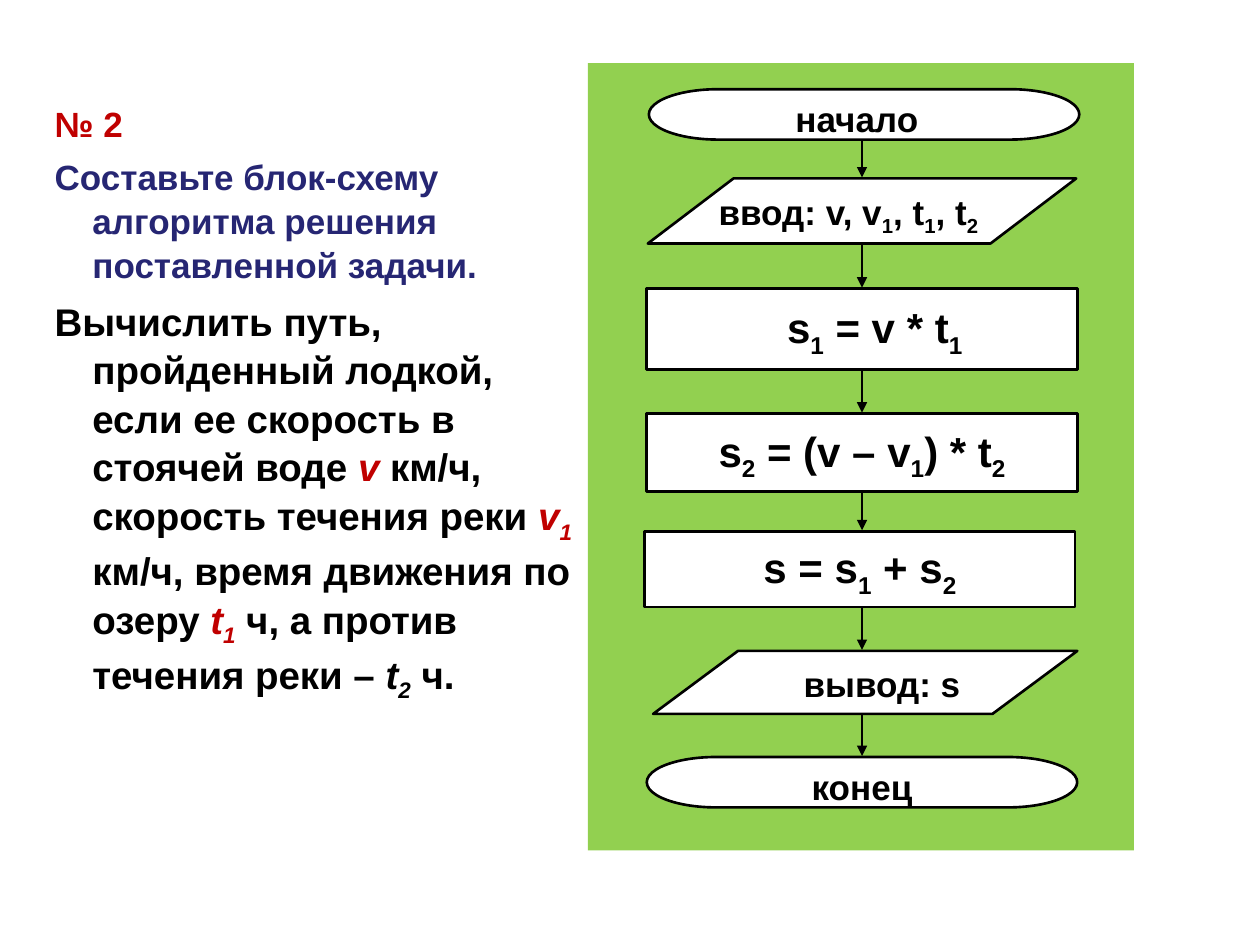
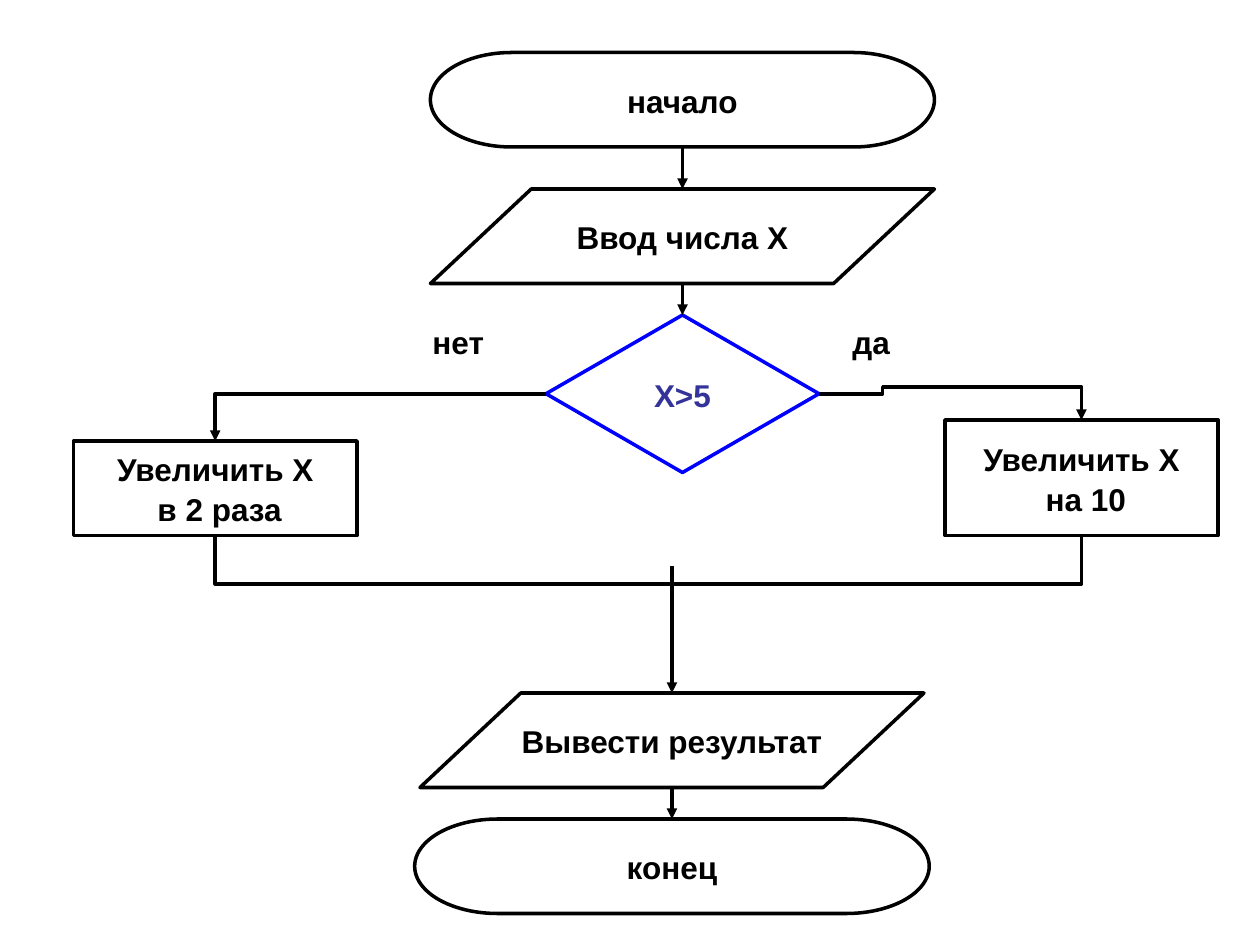
from itertools import pairwise

from lxml.etree import SubElement
from pptx import Presentation
from pptx.dml.color import RGBColor
from pptx.enum.shapes import MSO_CONNECTOR, MSO_SHAPE
from pptx.enum.text import MSO_ANCHOR, MSO_AUTO_SIZE, PP_ALIGN
from pptx.oxml.ns import qn
from pptx.util import Pt

PX = 7620  # EMU, 120 px to the inch
COLORS = {"black": "000000", "white": "FFFFFF", "red": "C00000", "navy": "262673",
          "green": "92D050", "blue": "0000FF", "indigo": "333399"}
FONT = {"name": "Arial", "bold": True}
LINE_SPACING = 1.05
TERMINATOR, DATA = MSO_SHAPE.FLOWCHART_TERMINATOR, MSO_SHAPE.FLOWCHART_DATA
PROCESS, RECT = MSO_SHAPE.FLOWCHART_PROCESS, MSO_SHAPE.RECTANGLE


def emu(*lengths):
    return [round(n * PX) for n in lengths]


def rgb(name):
    return RGBColor.from_string(COLORS[name])


def set_attrs(obj, **values):
    for name, value in values.items():
        setattr(obj, name, value)


def add_runs(p, text, size, color="black", italic=False):
    """Add text in which the character after each "_" is a subscript."""
    first, *rest = text.split("_")
    pieces = [(first, False)]
    for part in rest:
        pieces += [(part[0], True), (part[1:], False)]
    for piece, is_sub in pieces:
        if not piece:
            continue
        r = p.add_run()
        r.text = piece
        set_attrs(r.font, **FONT, size=Pt(size), italic=italic)
        r.font.color.rgb = rgb(color)
        if is_sub:
            r.font._element.set("baseline", "-25000")


def write(sp, text, size, color="black", align=PP_ALIGN.CENTER):
    tf = sp.text_frame
    for i, line in enumerate(text.split("\n")):
        p = tf.add_paragraph() if i else tf.paragraphs[0]
        set_attrs(p, alignment=align, line_spacing=LINE_SPACING)
        add_runs(p, line, size, color)
    return tf


def add_block(shapes, kind, box, fill=None, line="black", width=2):
    sp = shapes.add_shape(kind, *emu(*box))
    sp.shadow.inherit = False
    if fill:
        sp.fill.solid()
        sp.fill.fore_color.rgb = rgb(fill)
    else:
        sp.fill.background()
    if line:
        sp.line.color.rgb = rgb(line)
        sp.line.width = Pt(width)
    else:
        sp.line.fill.background()
    return sp


def add_block_text(sp, text, size, color="black"):
    tf = write(sp, text, size, color)
    set_attrs(tf, word_wrap=False, vertical_anchor=MSO_ANCHOR.MIDDLE)
    return tf


def add_label(shapes, text, box, size, align=PP_ALIGN.CENTER):
    sp = shapes.add_textbox(*emu(*box))
    write(sp, text, size, align=align).word_wrap = True


def add_link(shapes, ends, kind=MSO_CONNECTOR.STRAIGHT, width=2, arrow=True):
    link = shapes.add_connector(kind, *emu(*ends))
    link.line.color.rgb = rgb("black")
    link.line.width = Pt(width)
    if arrow:
        SubElement(link.line._get_or_add_ln(), qn("a:tailEnd"), type="triangle")
    SubElement(link._element.spPr, qn("a:effectLst"))
    return link


def add_elbow(shapes, begin, end, preset, adjust=(), arrow=True):
    """Glue an elbow between two (shape, site) pairs."""
    link = add_link(shapes, (0, 0, 0, 0), MSO_CONNECTOR.ELBOW, arrow=arrow)
    link.begin_connect(*begin)
    link.end_connect(*end)
    geom = link._element.spPr.find(qn("a:prstGeom"))
    geom.set("prst", preset)
    av_list = geom.find(qn("a:avLst"))
    if av_list is None:
        av_list = SubElement(geom, qn("a:avLst"))
    for i, value in enumerate(adjust, 1):
        SubElement(av_list, qn("a:gd"), name=f"adj{i}", fmla=f"val {value}")
    return link


def add_task(slide, box):
    slide.shapes.title._element.getparent().remove(slide.shapes.title._element)
    body = slide.placeholders[1]
    set_attrs(body, **dict(zip(("left", "top", "width", "height"), emu(*box))))
    tf = body.text_frame
    set_attrs(tf, word_wrap=True, auto_size=MSO_AUTO_SIZE.NONE,
              vertical_anchor=MSO_ANCHOR.TOP)
    paragraphs = [
        (20, 5, [("№ 2", "red", False)]),
        (20, 5, [("Составьте блок-схему алгоритма решения поставленной задачи.",
                  "navy", False)]),
        (22, 5.5, [
            ("Вычислить путь, пройденный лодкой, если ее скорость в стоячей воде ",
             "black", False),
            ("v ", "red", True),
            ("км/ч, скорость течения реки ", "black", False),
            ("v_1", "red", True),
            (" км/ч, время движения по озеру ", "black", False),
            ("t_1 ", "red", True),
            ("ч, а против течения реки – ", "black", False),
            ("t_2 ", "black", True),
            ("ч.", "black", False)]),
    ]
    for i, (size, before, parts) in enumerate(paragraphs):
        p = tf.add_paragraph() if i else tf.paragraphs[0]
        set_attrs(p, space_before=Pt(before), line_spacing=LINE_SPACING)
        pPr = p._p.get_or_add_pPr()
        indent = 36 * PX
        pPr.set("marL", str(indent))
        pPr.set("indent", str(-indent))
        SubElement(pPr, qn("a:buNone"))
        for text, color, italic in parts:
            add_runs(p, text, size, color, italic)


def add_boat_flowchart(slide, box):
    left, top = box[:2]
    shapes = slide.shapes.add_group_shape().shapes
    add_block(shapes, RECT, box, "green", None)

    def place(x, y, w, h):
        return left + x, top + y, w, h

    # kind, block box, text, box of a separate label
    steps = [
        (TERMINATOR, (58, 25, 410, 48), "начало", (104, 25, 304, 53)),
        (DATA, (57, 110, 408, 62), "ввод: v, v_1, t_1, t_2", (105, 113, 286, 58)),
        (RECT, (56, 215, 410, 77), "s_1 = v * t_1", None),
        (PROCESS, (56, 334, 410, 74), "s_2 = (v – v_1) * t_2", None),
        (PROCESS, (54, 446, 410, 72), "s = s_1 + s_2", None),
        (DATA, (62, 560, 404, 60), "вывод: s", (123, 563, 314, 53)),
        (TERMINATOR, (56, 661, 410, 48), "конец", (147, 661, 228, 53)),
    ]
    for kind, block_box, text, label_box in steps:
        sp = add_block(shapes, kind, place(*block_box), "white", width=1.5)
        if label_box:
            add_label(shapes, text, place(*label_box), 20)
        else:
            tf = add_block_text(sp, text, 24)
            if kind == RECT:
                tf.margin_left = 36 * PX
    x = left + 261
    for (_, upper, *_), (_, lower, *_) in pairwise(steps):
        ends = x, top + upper[1] + upper[3] + 1, x, top + lower[1] - 1
        add_link(shapes, ends, width=1)


def add_branch_flowchart(slide):
    shapes = slide.shapes
    blocks = {}
    for name, kind, box, text in [
        ("start", TERMINATOR, (410, 50, 480, 90), "начало"),
        ("end", TERMINATOR, (395, 780, 490, 90), "конец"),
        ("input", DATA, (410, 180, 480, 90), "Ввод числа Х"),
        ("yes", RECT, (900, 400, 260, 110), "Увеличить Х\n на 10"),
        ("no", RECT, (70, 420, 270, 90), "Увеличить Х\n в 2 раза"),
        ("output", DATA, (400, 660, 480, 90), "Вывести результат"),
        ("test", MSO_SHAPE.DIAMOND, (520, 300, 260, 150), "Х>5"),
    ]:
        is_test = name == "test"
        blocks[name] = add_block(shapes, kind, box, line="blue" if is_test else "black")
        add_block_text(blocks[name], text, 18, "indigo" if is_test else "black")

    for x, y1, y2 in [(650, 140, 180), (650, 270, 300), (640, 539, 660), (640, 750, 780)]:
        add_link(shapes, (x, y1, x, y2))

    test, yes, no = (blocks[name] for name in ("test", "yes", "no"))
    add_elbow(shapes, (test, 1), (no, 0), "bentConnector2")
    add_elbow(shapes, (test, 3), (yes, 0), "bentConnector4", (24300, -25800))
    # The join is a U: a 1 px wide elbow turned by 270 degrees, bent 47 px below
    join = add_elbow(shapes, (no, 2), (yes, 2), "bentConnector3", (4700000,), arrow=False)
    set_attrs(join, left=617 * PX, top=round(97.5 * PX), width=PX, height=825 * PX)
    xfrm = join._element.spPr.find(qn("a:xfrm"))
    xfrm.set("rot", "16200000")
    xfrm.set("flipH", "1")

    for text, x in [("нет", 400), ("да", 800)]:
        add_label(shapes, text, (x, 300, 100, 48), 18, PP_ALIGN.LEFT)


def main():
    prs = Presentation()
    prs.slide_width, prs.slide_height = emu(1200, 900)
    task_slide = prs.slides.add_slide(prs.slide_layouts[1])
    add_task(task_slide, (40, 90, 520, 720))
    add_boat_flowchart(task_slide, (560, 60, 520, 750))
    add_branch_flowchart(prs.slides.add_slide(prs.slide_layouts[6]))
    prs.save("out.pptx")


if __name__ == "__main__":
    main()
